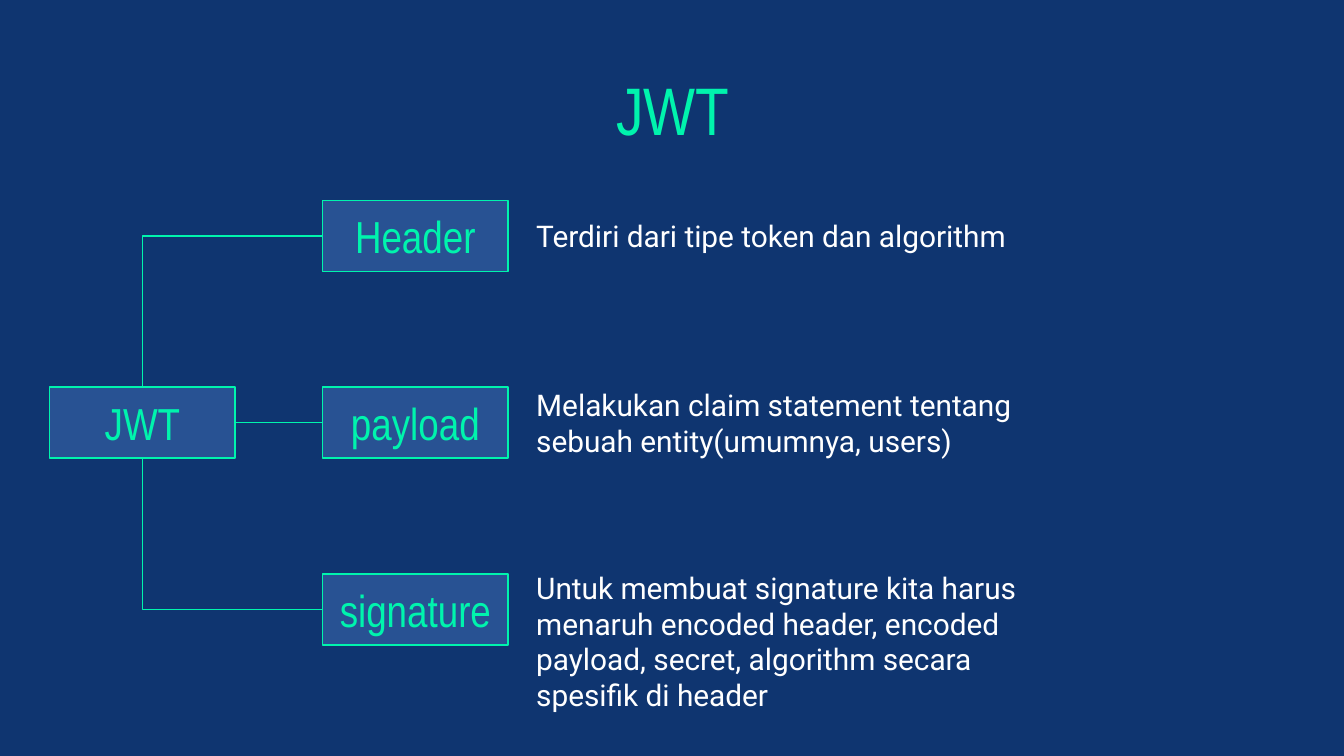
from dataclasses import dataclass
from lxml.etree import SubElement
from pptx import Presentation
from pptx.dml.color import RGBColor as Color
from pptx.enum.shapes import MSO_CONNECTOR as Link, MSO_SHAPE as Shape
from pptx.enum.text import MSO_ANCHOR as Anchor, PP_ALIGN as Align
from pptx.oxml.ns import qn
from pptx.util import Inches, Pt


@dataclass(frozen=True)
class Theme:
    """Hold the colours, fonts and sizes of the deck."""
    back: Color = Color.from_string("0F3570")
    fill: Color = Color.from_string("285293")
    mint: Color = Color.from_string("00F4AD")
    white: Color = Color.from_string("FFFFFF")
    head: str = "Arial Narrow"
    body: str = "Roboto"
    big: int = 36
    mid: int = 24
    small: int = 16
    line: float = 0.75


THEME = Theme()
WIDE, HIGH = 1.38, 0.53
PARTS = [
    ("Header", "Terdiri dari tipe token dan algorithm", HIGH),
    ("payload", "Melakukan claim statement tentang sebuah entity(umumnya, users)", HIGH),
    ("signature", "Untuk membuat signature kita harus menaruh encoded header, "
     "encoded payload, secret, algorithm secara spesifik di header", 1),
]


def write(shape, text, font, size, color, align, anchor=Anchor.MIDDLE):
    """Put one styled paragraph in a shape without insets."""
    frame = shape.text_frame
    frame.text = text
    frame.word_wrap = True
    frame.vertical_anchor = anchor
    frame.margin_left = frame.margin_right = 0
    frame.margin_top = frame.margin_bottom = 0
    para = frame.paragraphs[0]
    para.alignment = align
    face = para.runs[0].font
    face.name, face.size, face.color.rgb = font, Pt(size), color


def add_title(slide, text, x, y, w, h):
    """Move and style the title placeholder."""
    title = slide.shapes.title
    title.left, title.top = Inches(x), Inches(y)
    title.width, title.height = Inches(w), Inches(h)
    write(title, text, THEME.head, THEME.big, THEME.mint, Align.CENTER, Anchor.TOP)


def add_node(shapes, text, x, y):
    """Draw one labelled box of the tree."""
    node = shapes.add_shape(Shape.RECTANGLE, Inches(x), Inches(y), Inches(WIDE), Inches(HIGH))
    node.shadow.inherit = False
    node.fill.solid()
    node.fill.fore_color.rgb = THEME.fill
    node.line.color.rgb = THEME.mint
    node.line.width = Pt(THEME.line)
    write(node, text, THEME.head, THEME.mid, THEME.mint, Align.CENTER)
    return node


def add_part(slide, name, note, x, y, h):
    """Group a box with the note to its right."""
    shapes = slide.shapes.add_group_shape().shapes
    text = shapes.add_textbox(Inches(x + 1.59), Inches(y), Inches(3.6), Inches(h))
    write(text, note, THEME.body, THEME.small, THEME.white, Align.LEFT)
    return add_node(shapes, name, x, y)


def bend(link, root, node, down):
    """Turn a link into one corner from the root to a node's left side."""
    x = root.left + root.width // 2
    y = root.top + (root.height if down else 0)
    end = node.top + node.height // 2
    wide, high = abs(end - y), node.left - x
    link.left, link.top = x + (high - wide) // 2, (y + end - high) // 2
    link.width, link.height = wide, high
    props = link._element.spPr
    props.find(qn("a:prstGeom")).set("prst", "bentConnector2")
    frame = props.find(qn("a:xfrm"))
    frame.set("rot", "16200000")
    frame.set("flipH", "1" if down else "0")
    frame.set("flipV", "0")


def join(slide, root, node, site):
    """Link one side of the root to the left side of a node."""
    link = slide.shapes.add_connector(Link.ELBOW, 0, 0, 0, 0)
    link.begin_connect(root, site)
    link.end_connect(node, 1)
    if site != 3:
        bend(link, root, node, site == 2)
    link.line.color.rgb = THEME.mint
    link.line.width = Pt(THEME.line)
    SubElement(link._element.spPr, qn("a:effectLst"))


def add_tree(slide, x, y, step):
    """Draw the root, its three parts and their links."""
    root = add_node(slide.shapes, "JWT", x, y + step)
    for row, (name, note, h) in enumerate(PARTS):
        node = add_part(slide, name, note, x + 2.03, y + row * step, h)
        join(slide, root, node, (0, 3, 2)[row])


def main():
    """Build and save the deck."""
    deck = Presentation()
    deck.slide_width = Inches(10)
    deck.slide_height = deck.slide_width * 9 // 16
    slide = deck.slides.add_slide(deck.slide_layouts[5])
    slide.background.fill.solid()
    slide.background.fill.fore_color.rgb = THEME.back
    add_title(slide, "JWT", 0.79, 0.51, 8.43, 0.53)
    add_tree(slide, 0.37, 1.49, 1.39)
    deck.save("out.pptx")


if __name__ == "__main__":
    main()
